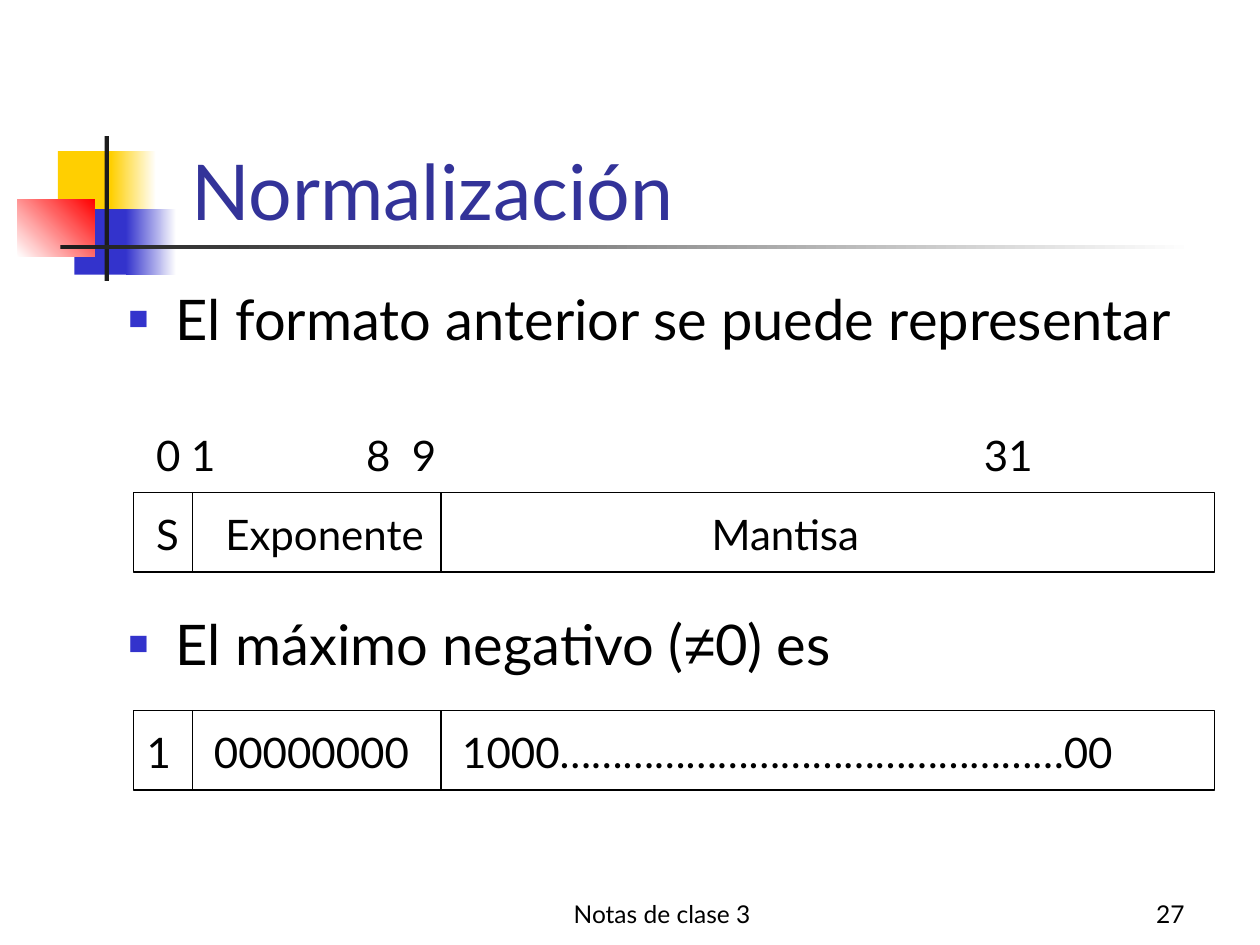
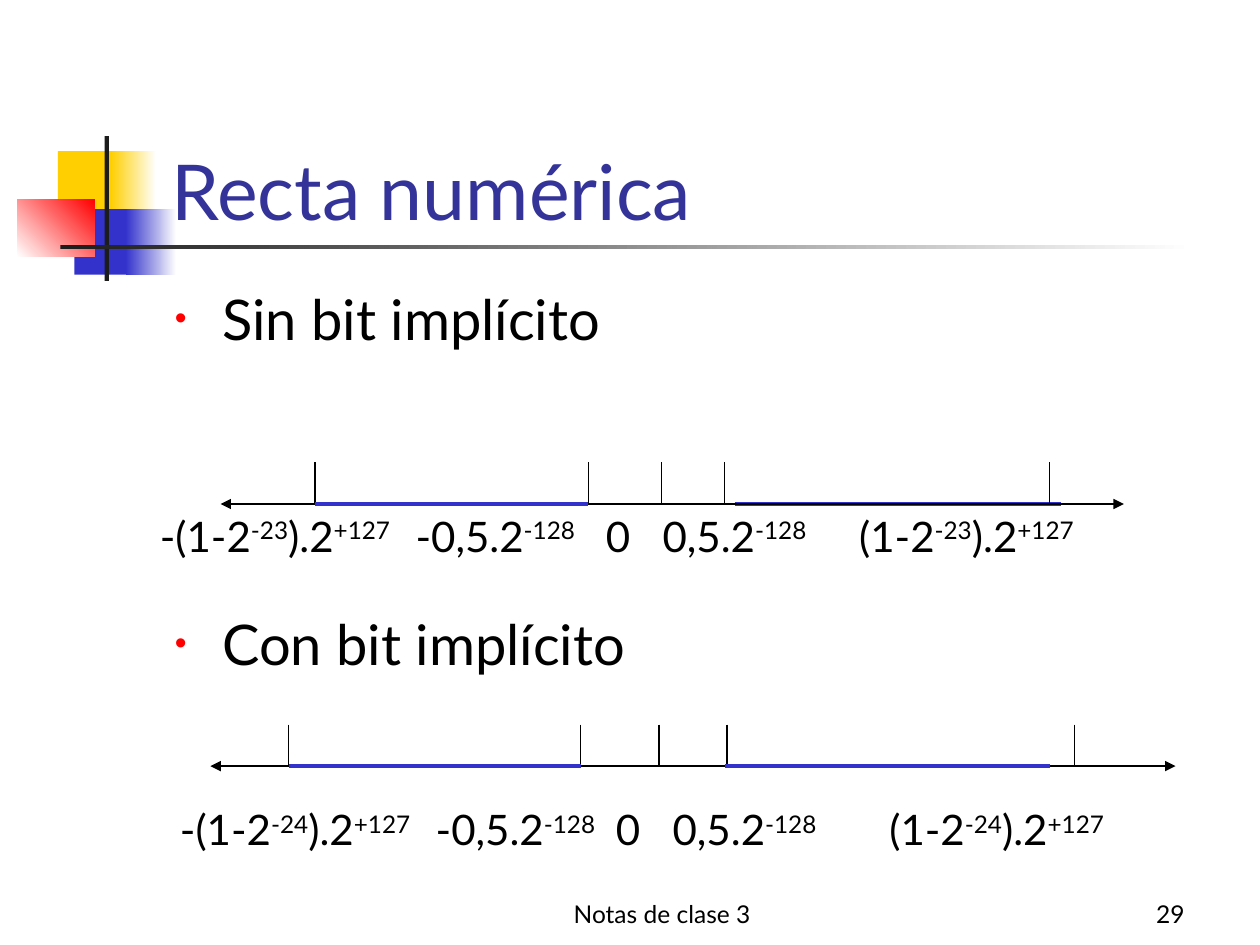
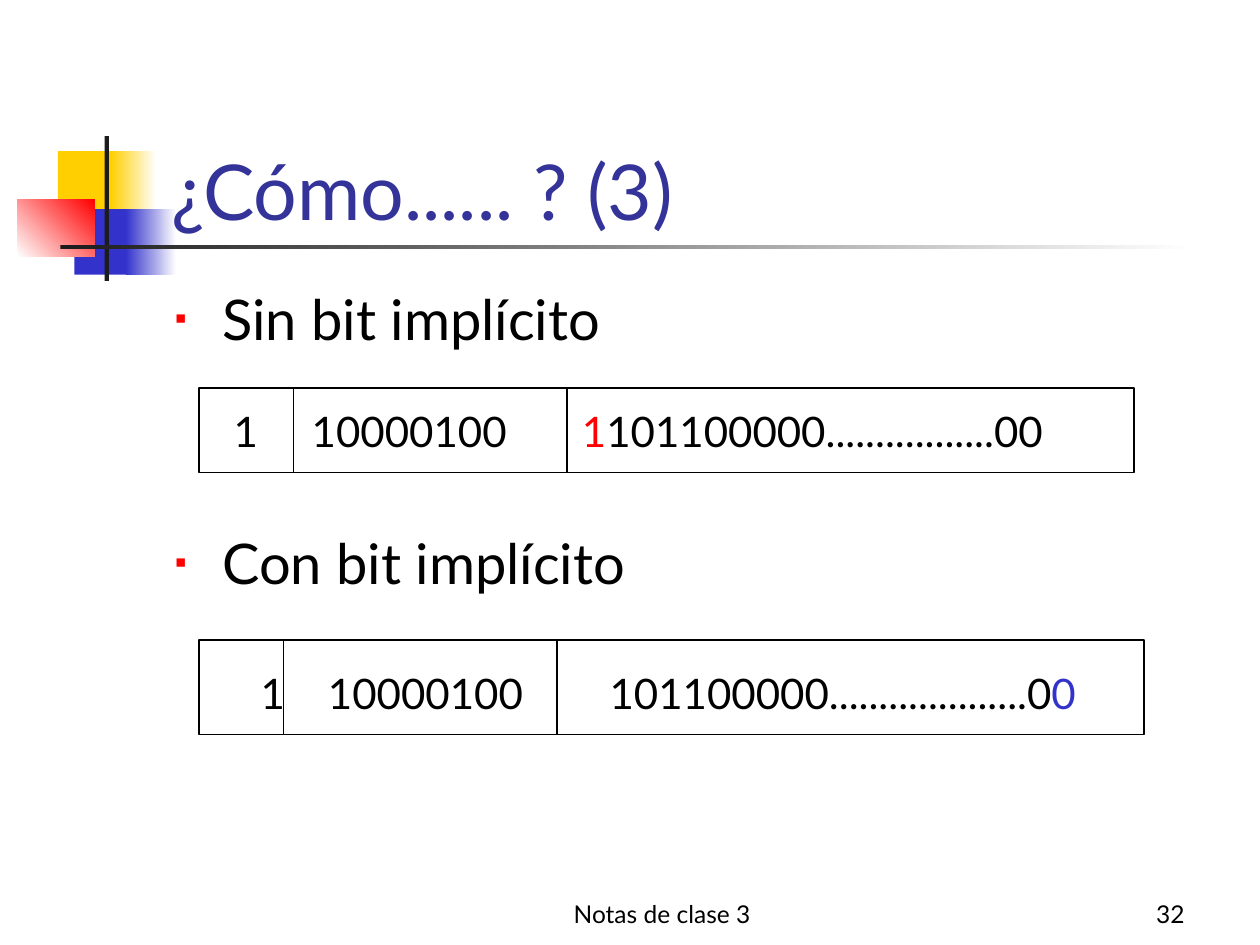
import pptx
import pptx.dml.color
import pptx.enum.dml
import pptx.enum.shapes
import pptx.enum.text
import pptx.oxml.ns
import pptx.util
import lxml.etree

COLORS = {
    "background": "FFFFFF", "text": "000000", "title": "333399", "blue": "3333CC",
    "red": "FF0000", "yellow": "FFCF01", "dark": "1C1C1C",
}
FONT = "Lato"
TITLE_SIZE, BODY_SIZE, LABEL_SIZE, FOOTER_SIZE = 44, 32, 24, 14
BODY_SPACE = 8
BODY_PITCH = BODY_SIZE * 1.2 + BODY_SPACE
THIN, AXIS, THICK = 0.74, 1.25, 2.24
INDENT = 3.75

presentation = pptx.Presentation()
presentation.slide_width = pptx.util.Inches(10)
presentation.slide_height = pptx.util.Inches(7.5)
# The slide is a grid of 100 columns by 75 rows
COLUMN = presentation.slide_width / 100
ROW = presentation.slide_height / 75
LAYOUT = presentation.slide_layouts[5]


def place(box):
    left, top, width, height = box
    return round(left * COLUMN), round(top * ROW), round(width * COLUMN), round(height * ROW)


def rgb(name):
    return pptx.dml.color.RGBColor.from_string(COLORS[name])


def child(parent, tag, **attributes):
    element = lxml.etree.SubElement(parent, pptx.oxml.ns.qn("a:" + tag))
    for name, value in attributes.items():
        element.set(name, str(value))
    return element


# Basic parts

def add_run(paragraph, text, size=LABEL_SIZE, color="text", font=FONT, raised=False):
    run = paragraph.add_run()
    run.text = text
    run.font.size = pptx.util.Pt(size)
    run.font.name = font
    run.font.color.rgb = rgb(color)
    if raised:
        run._r.get_or_add_rPr().set("baseline", "30000")


def add_text_frame(shapes, box, anchor="TOP"):
    frame = shapes.add_textbox(*place(box)).text_frame
    frame.word_wrap = True
    frame.vertical_anchor = getattr(pptx.enum.text.MSO_ANCHOR, anchor)
    return frame


def add_label(shapes, box, runs, tabs=()):
    """Write one line; tab stops are columns from the start of the text."""
    paragraph = add_text_frame(shapes, box).paragraphs[0]
    for text, options in runs:
        add_run(paragraph, text, **options)
    if tabs:
        stops = child(paragraph._p.get_or_add_pPr(), "tabLst")
        for tab in tabs:
            child(stops, "tab", pos=round(tab * COLUMN), algn="l")


def add_rectangle(shapes, box, color, gradient_to=None, angle=0, outline=False):
    shape = shapes.add_shape(pptx.enum.shapes.MSO_SHAPE.RECTANGLE, *place(box))
    shape.shadow.inherit = False
    if gradient_to:
        shape.fill.gradient()
        shape.fill.gradient_angle = angle
        for stop, name in zip(shape.fill.gradient_stops, (color, gradient_to)):
            stop.color.rgb = rgb(name)
    else:
        shape.fill.solid()
        shape.fill.fore_color.rgb = rgb(color)
    if outline:
        shape.line.color.rgb = rgb("text")
        shape.line.width = pptx.util.Pt(THIN)
    else:
        shape.line.fill.background()
    return shape


def add_line(shapes, start, end, width=THIN, color="text", arrows=False):
    connector = shapes.add_connector(
        pptx.enum.shapes.MSO_CONNECTOR.STRAIGHT,
        round(start[0] * COLUMN), round(start[1] * ROW),
        round(end[0] * COLUMN), round(end[1] * ROW))
    connector.line.color.rgb = rgb(color)
    connector.line.width = pptx.util.Pt(width)
    if arrows:
        line = connector.line._get_or_add_ln()
        for end_tag in ("headEnd", "tailEnd"):
            child(line, end_tag, type="triangle")
    child(connector.element.spPr, "effectLst")


# Parts that the slides share

def add_emblem(slide, layout):
    """Draw the squares and rules, then hand them over to the layout."""
    parts = [
        ((4.6, 12, 4.8, 5.2), "yellow", None, 0),
        ((8.8, 12, 3.6, 5.2), "yellow", "background", 0),
        ((5.9, 16.6, 4.6, 5.2), "blue", None, 0),
        ((10, 16.6, 4, 5.2), "blue", "background", 0),
        ((1.4, 15.8, 6.1, 4.6), "background", "red", 45),
        ((8.3, 10.8, 0.35, 11.5), "dark", None, 0),
        ((4.8, 19.45, 90, 0.35), "dark", "background", 0),
    ]
    for part in parts:
        layout.shapes.element.append(add_rectangle(slide.shapes, *part).element)


def add_footer(slide, number):
    for box, text, alignment in (((36.7, 69.2, 31.7, 5), "Notas de clase 3", "CENTER"),
                                 ((74.2, 69.2, 20.8, 5), str(number), "RIGHT")):
        paragraph = add_text_frame(slide.shapes, box, "BOTTOM").paragraphs[0]
        paragraph.alignment = getattr(pptx.enum.text.PP_ALIGN, alignment)
        add_run(paragraph, text, FOOTER_SIZE)


def add_slide(title, number):
    slide = presentation.slides.add_slide(LAYOUT)
    placeholder = slide.shapes.title
    placeholder.left, placeholder.top, placeholder.width, placeholder.height = place(
        (12.6, 6.7, 85.2, 12.5))
    frame = placeholder.text_frame
    frame.auto_size = pptx.enum.text.MSO_AUTO_SIZE.NONE
    frame.vertical_anchor = pptx.enum.text.MSO_ANCHOR.BOTTOM
    frame.paragraphs[0].alignment = pptx.enum.text.PP_ALIGN.LEFT
    add_run(frame.paragraphs[0], title, TITLE_SIZE, "title")
    add_footer(slide, number)
    return slide


def add_bullets(slide, box, items, bullet, color, gap_lines):
    """Two or more bullets, with room for a number of lines between them."""
    frame = add_text_frame(slide.shapes, box)
    for index, runs in enumerate(items):
        paragraph = frame.add_paragraph() if index else frame.paragraphs[0]
        space = BODY_SPACE + (gap_lines * BODY_PITCH if index else 0)
        paragraph.space_before = pptx.util.Pt(space)
        properties = paragraph._p.get_or_add_pPr()
        properties.set("marL", str(round(INDENT * COLUMN)))
        properties.set("indent", str(-round(INDENT * COLUMN)))
        child(child(properties, "buClr"), "srgbClr", val=COLORS[color])
        child(properties, "buSzPct", val=60000)
        child(properties, "buFont", typeface="Arial")
        child(properties, "buChar", char=bullet)
        for text, font in runs:
            add_run(paragraph, text, BODY_SIZE, font=font)


# Diagrams

def add_register(slide, box, dividers):
    """A box of bits; dividers are columns from its left edge."""
    left, top, width, height = box
    add_rectangle(slide.shapes, box, "background", outline=True)
    for divider in dividers:
        add_line(slide.shapes, (left + divider, top), (left + divider, top + height))


def add_number_line(slide, start, end, row, ticks, ranges_below, ranges_above):
    """An axis with ticks; the ranges lie below or above the axis."""
    shapes = slide.shapes.add_group_shape().shapes

    def add_ranges(ranges):
        for first, last in ranges:
            add_line(shapes, (first, row), (last, row), THICK, "blue")

    add_ranges(ranges_below)
    add_line(shapes, (start, row), (end, row), AXIS, arrows=True)
    for tick in ticks:
        add_line(shapes, (tick, row - 3.3), (tick, row))
    add_ranges(ranges_above)


def add_limits(slide, box, bits, tabs):
    """Limits of the ranges; powers stand between carets."""
    largest = f"(1-2^-{bits}^).2^+127^"
    smallest = "0,5.2^-128^"
    line = "\t".join(["-" + largest, "-" + smallest, "0", smallest, largest])
    runs = [(text, {"raised": index % 2 == 1})
            for index, text in enumerate(line.split("^")) if text]
    add_label(slide.shapes, box, runs, tabs)


# Slides

def build_normalization():
    slide = add_slide(" Normalización", 27)
    add_emblem(slide, LAYOUT)
    add_bullets(slide, (9.2, 22.1, 88.8, 45),
                [[("El formato anterior se puede representar", FONT)],
                 [("El máximo negativo (", FONT), ("≠", "Arial"), ("0) es", FONT)]],
                "■", "blue", 3)
    left, width, height = 10.6, 85.8, 6.3
    format_top, value_top = 39.1, 56.4
    for top in (format_top, value_top):
        add_register(slide, (left, top, width, height), (4.7, 24.4))
    # Field names and bit positions
    for offset, field_width, name in ((0.8, 6.3, "S"), (6.3, 19.7, "Exponente"),
                                      (44.9, 20.5, "Mantisa")):
        add_label(slide.shapes, (left + offset, format_top + 0.8, field_width, 5), [(name, {})])
    add_label(slide.shapes, (left + 0.8, format_top - 5.5, width, 5),
              [("0 1\t8\t9\t31", {})], (16.67, 20.3, 65.7))
    # Value
    add_label(slide.shapes, (left - 0.8, value_top + 0.8, 85, 5),
              [("\t1\t00000000\t1000" + "…" * 16 + "00", {})], (0.85, 6.2, 25.9))


def build_number_lines():
    slide = add_slide("Recta numérica", 29)
    add_bullets(slide, (12.9, 22.1, 85, 45),
                [[("Sin bit implícito", FONT)], [("Con bit implícito", FONT)]],
                "•", "red", 3)
    add_limits(slide, (11.7, 40, 86.7, 5), 23, (20.3, 35.4, 39.9, 55.5))
    add_number_line(slide, 17.5, 89.2, 40, (25, 46.7, 52.5, 57.5, 83.3),
                    [(58.3, 84.2)], [(25, 46.7)])
    add_number_line(slide, 16.7, 93.3, 60.8, (22.9, 46.1, 52.3, 57.7, 85.3),
                    [], [(22.9, 46.1), (57.5, 83.3)])
    add_limits(slide, (13.3, 63.3, 86.7, 5), 24, (20.3, 34.6, 39.1, 56.3))


def build_encoding():
    slide = add_slide("¿Cómo...... ? (3)", 32)
    add_bullets(slide, (12.9, 22.1, 85, 45),
                [[("Sin bit implícito", FONT)], [("Con bit implícito", FONT)]],
                "▪", "red", 2)
    # Leading one is stored
    add_register(slide, (15.8, 30.8, 74.2, 6.7), (7.5, 29.2))
    add_label(slide.shapes, (16.7, 31.7, 72.5, 5),
              [("\t1\t10000100\t", {}), ("1", {"color": "red"}),
               ("101100000" + "." * 17 + "00", {})], (0.85, 7.05, 28.5))
    # Leading one is implied
    add_register(slide, (15.8, 50.8, 75, 7.5), (6.7, 28.4))
    add_label(slide.shapes, (19.7, 52.5, 68.4, 5),
              [("1\t10000100\t101100000" + "." * 20 + "0", {}),
               ("0", {"color": "blue"})], (5.35, 27.7))


build_normalization()
build_number_lines()
build_encoding()
presentation.save("out.pptx")
